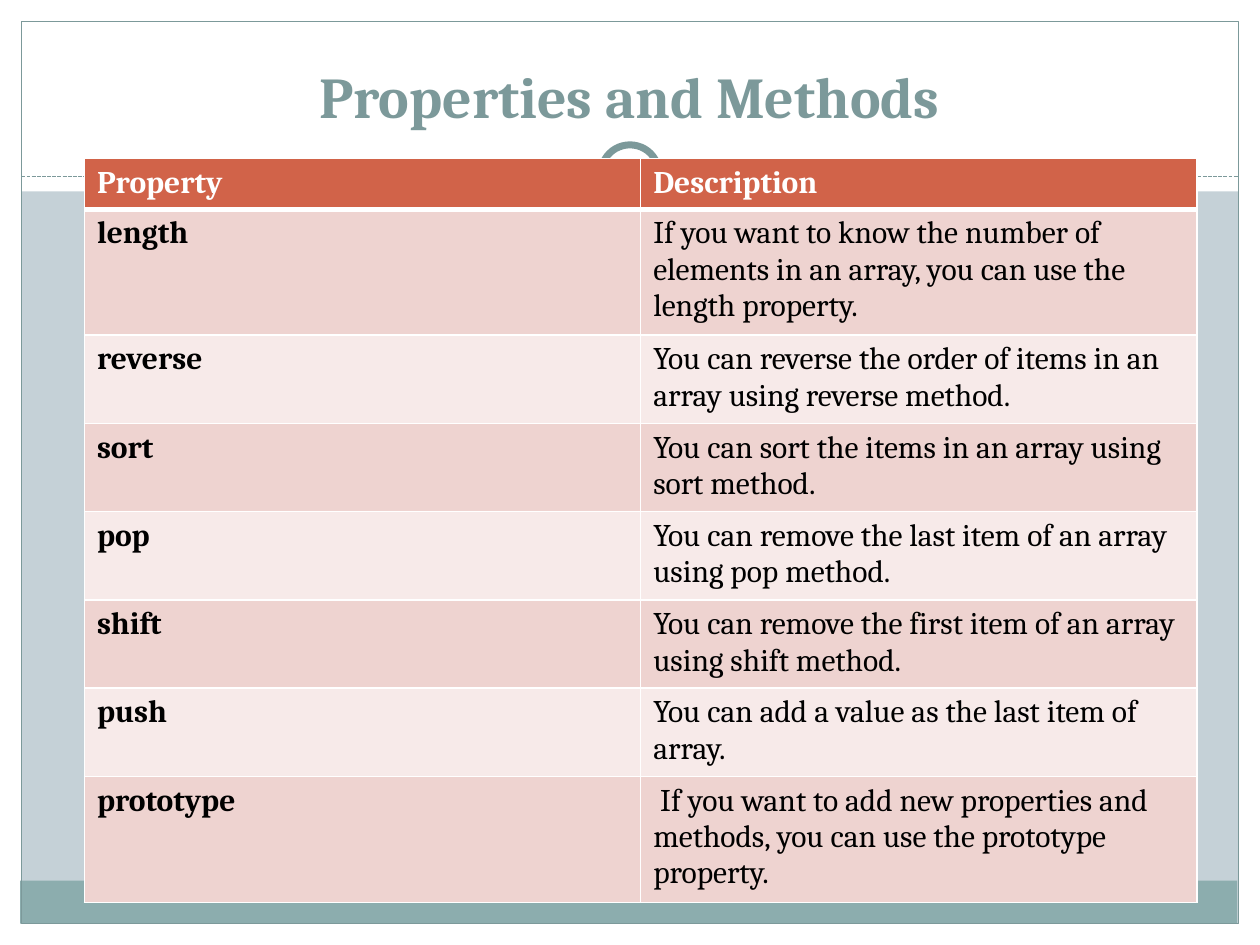
from dataclasses import dataclass
from typing import Optional

from lxml import etree
from pptx import Presentation
from pptx.dml.color import RGBColor
from pptx.enum.dml import MSO_LINE
from pptx.enum.shapes import MSO_CONNECTOR, MSO_SHAPE
from pptx.enum.text import MSO_ANCHOR, PP_ALIGN
from pptx.oxml.ns import qn
from pptx.util import Inches, Pt

COLORS = {
    "backdrop": "C5D1D7", "white": "FFFFFF", "black": "000000", "frame": "7C999A",
    "footer": "8CADAE", "header": "D16349", "odd": "EED3D0", "even": "F7EAE9",
}
FONT = "Cambria"


@dataclass
class Panel:
    left: float
    top: float
    width: float
    height: float
    fill: Optional[str] = "white"
    line: Optional[str] = None
    weight: float = 0.75
    kind: MSO_SHAPE = MSO_SHAPE.RECTANGLE


@dataclass
class Entry:
    name: str
    description: str
    height: float = 0.66


BASE_PANELS = [
    Panel(0, 7.33, 10, 0.17),
    Panel(0, 0, 10, 1.52),
    Panel(0, 0, 0.17, 7.5),
    Panel(9.83, 0, 0.17, 7.5),
    Panel(0.16, 6.99, 9.66, 0.34, fill="footer"),
    Panel(0.17, 0.17, 9.66, 7.16, fill=None, line="frame"),
]
RING = [
    Panel(4.67, 1.05, 0.67, 0.67, kind=MSO_SHAPE.OVAL),
    Panel(4.77, 1.15, 0.46, 0.46, line="frame", weight=4, kind=MSO_SHAPE.OVAL),
]
ENTRIES = [
    Entry("Property", "Description", 0.38),
    Entry("length", "If you want to know the number of elements in an array, "
          "you can use the length property.", 0.94),
    Entry("reverse", "You can reverse the order of items in an array using reverse method."),
    Entry("sort\u00a0", "You can sort the items in an array using sort method."),
    Entry("pop", "You can remove the last item of an array using pop method."),
    Entry("shift", "You can remove the first item of an array using shift method."),
    Entry("push", "You can add a value as the last item of array."),
    Entry("prototype", "\u00a0If you want to add new properties and methods, "
          "you can use the prototype property.", 0.94),
]


def rgb(name: str) -> RGBColor:
    return RGBColor.from_string(COLORS[name])


def write(frame, text: str, *, size: float, color: str, bold: bool = False,
          align: PP_ALIGN = PP_ALIGN.LEFT) -> None:
    para = frame.paragraphs[0]
    para.alignment = align
    span = para.add_run()
    span.text = text
    span.font.name = FONT
    span.font.size = Pt(size)
    span.font.bold = bold
    span.font.color.rgb = rgb(color)


def draw_panel(page, panel: Panel) -> None:
    shape = page.shapes.add_shape(
        panel.kind, Inches(panel.left), Inches(panel.top),
        Inches(panel.width), Inches(panel.height))
    shape.shadow.inherit = False
    if panel.fill:
        shape.fill.solid()
        shape.fill.fore_color.rgb = rgb(panel.fill)
    else:
        shape.fill.background()
    if panel.line:
        shape.line.color.rgb = rgb(panel.line)
        shape.line.width = Pt(panel.weight)
    else:
        shape.line.fill.background()


def draw_divider(page, top: float) -> None:
    divider = page.shapes.add_connector(
        MSO_CONNECTOR.STRAIGHT, Inches(0.17), Inches(top), Inches(9.83), Inches(top))
    divider.line.color.rgb = rgb("frame")
    divider.line.width = Pt(0.75)
    divider.line.dash_style = MSO_LINE.SQUARE_DOT
    divider_props = divider._element.spPr
    etree.SubElement(divider_props, qn("a:effectLst"))


def set_borders(cell, **weights: float) -> None:
    props = cell._tc.get_or_add_tcPr()
    for side, weight in weights.items():
        border = etree.SubElement(props, qn(f"a:ln{side}"), w=str(Pt(weight)))
        fill = etree.SubElement(border, qn("a:solidFill"))
        etree.SubElement(fill, qn("a:srgbClr"), val=COLORS["white"])


def draw_table(page, entries: list[Entry]) -> None:
    total = sum(entry.height for entry in entries)
    table = page.shapes.add_table(
        len(entries), 2, Inches(0.67), Inches(1.26), Inches(8.83), Inches(total)).table
    for index, entry in enumerate(entries):
        table.rows[index].height = Inches(entry.height)
        is_header = index == 0
        fill = "header" if is_header else ("odd" if index % 2 else "even")
        for column, text in enumerate((entry.name, entry.description)):
            cell = table.cell(index, column)
            # The heavy rule lies between the header and the first entry
            set_borders(cell, L=1, R=1, T=3 if index == 1 else 1, B=3 if is_header else 1)
            cell.fill.solid()
            cell.fill.fore_color.rgb = rgb(fill)
            write(cell.text_frame, text, size=18, bold=is_header or column == 0,
                  color="white" if is_header else "black")


deck = Presentation()
deck.slide_width, deck.slide_height = Inches(10), Inches(7.5)
page = deck.slides.add_slide(deck.slide_layouts[6])

# Background and frame
page.background.fill.solid()
page.background.fill.fore_color.rgb = rgb("backdrop")
for panel in BASE_PANELS:
    draw_panel(page, panel)
draw_divider(page, 1.4)
for panel in RING:
    draw_panel(page, panel)

# Title
box = page.shapes.add_textbox(Inches(0.33), Inches(0.25), Inches(9.33), Inches(0.83))
box.text_frame.word_wrap = True
box.text_frame.vertical_anchor = MSO_ANCHOR.BOTTOM
write(box.text_frame, "Properties and Methods", size=33, color="frame", bold=True,
      align=PP_ALIGN.CENTER)

# Properties table
draw_table(page, ENTRIES)

deck.save("out.pptx")
